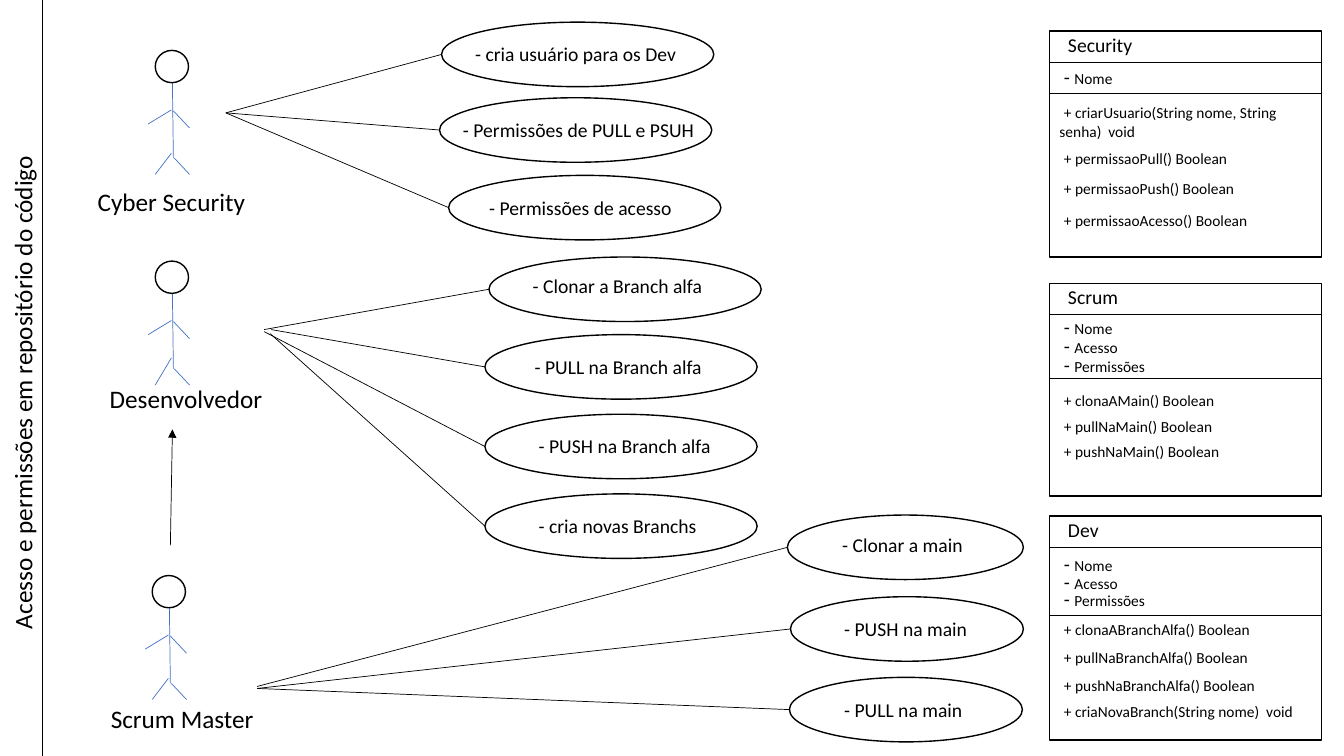
from lxml import etree
from pptx import Presentation
from pptx.dml.color import RGBColor
from pptx.enum.shapes import MSO_CONNECTOR, MSO_SHAPE
from pptx.enum.text import MSO_ANCHOR, PP_ALIGN
from pptx.oxml.ns import qn
from pptx.util import Inches, Pt

COLORS = {"ink": "000000", "limb": "4472C4"}
FONT = "Calibri"
OVAL_HEIGHT = 0.64
CLASS_LEFT, CLASS_WIDTH = 10.41, 2.7

# name, label (left, top, width), head (left, top), left foot rise,
# use cases: line start, oval (left, top, width), text (left, top), text
ACTORS = [
    ("Cyber Security", (0.87, 1.8, 1.7), (1.54, 0.5), 1.02, [
        ((2.24, 1.12), (4.38, 0.22, 2.7), (4.57, 0.37), "cria usuário para os Dev"),
        ((2.24, 1.12), (4.36, 0.97, 2.7), (4.45, 1.12), "Permissões de PULL e PSUH"),
        ((2.24, 1.12), (4.45, 1.74, 2.7), (4.71, 1.89), "Permissões de acesso"),
    ]),
    ("Desenvolvedor", (0.99, 3.75, 2.03), (1.54, 2.59), 0.96, [
        ((2.62, 3.27), (4.85, 2.55, 2.7), (5.14, 2.67), "Clonar a Branch alfa"),
        ((2.69, 3.27), (4.81, 3.32, 2.7), (5.16, 3.47), "PULL na Branch alfa"),
        ((2.62, 3.29), (4.81, 4.11, 2.7), (5.2, 4.26), "PUSH na Branch alfa"),
        ((2.68, 3.31), (4.81, 4.9, 2.7), (5.2, 5.05), "cria novas Branchs"),
    ]),
    ("Scrum Master", (1, 6.93, 1.68), (1.51, 5.71), 1.02, [
        ((2.55, 6.81), (7.81, 5.11, 2.34), (8.21, 5.24), "Clonar a main"),
        ((2.55, 6.83), (7.84, 5.92, 2.31), (8.23, 6.07), "PUSH na main"),
        ((2.55, 6.83), (7.83, 6.72, 2.31), (8.23, 6.87), "PULL na main"),
    ]),
]

# name, top, height, second divider, attributes and methods with their tops
CLASSES = [
    ("Security", 0.31, 2.24, 0.93, [(0.59, "Nome")], [
        (0.93, "criarUsuario(String nome, String senha)  void"),
        (1.39, "permissaoPull() Boolean"),
        (1.69, "permissaoPush() Boolean"),
        (2, "permissaoAcesso() Boolean"),
    ]),
    ("Scrum", 2.81, 2.11, 3.75,
     [(3.08, "Nome"), (3.26, "Acesso"), (3.45, "Permissões")], [
        (3.79, "clonaAMain() Boolean"),
        (4.05, "pullNaMain() Boolean"),
        (4.3, "pushNaMain() Boolean"),
    ]),
    ("Dev", 5.12, 2.22, 6.1,
     [(5.43, "Nome"), (5.6, "Acesso"), (5.77, "Permissões")], [
        (6.06, "clonaABranchAlfa() Boolean"),
        (6.34, "pullNaBranchAlfa() Boolean"),
        (6.62, "pushNaBranchAlfa() Boolean"),
        (6.87, "criaNovaBranch(String nome)  void"),
    ]),
]

deck = Presentation()
deck.slide_width, deck.slide_height = Inches(13.33), Inches(7.5)
page = deck.slides.add_slide(deck.slide_layouts[5])


def write(box, spans):
    """Fill a box with one paragraph of (text, size) spans."""
    frame = box.text_frame
    frame.word_wrap = True
    para = frame.paragraphs[0]
    for text, size in spans:
        span = para.add_run()
        span.text = text
        for name, value in {"name": FONT, "size": Pt(size)}.items():
            setattr(span.font, name, value)
        span.font.color.rgb = RGBColor.from_string(COLORS["ink"])


def draw_line(start, end, color="ink"):
    """Draw a thin straight line and return it."""
    line = page.shapes.add_connector(
        MSO_CONNECTOR.STRAIGHT, *[Inches(value) for value in (*start, *end)])
    line.line.color.rgb = RGBColor.from_string(COLORS[color])
    line.line.width = Pt(0.5)
    etree.SubElement(line.line._get_or_add_ln().getparent(), qn("a:effectLst"))
    return line


# Side title
title = page.shapes.title
title_format = {"left": Inches(-2.4), "top": Inches(3.52), "width": Inches(5.24),
                "height": Inches(0.4), "rotation": 270}
for name, value in title_format.items():
    setattr(title, name, value)
write(title, [("Acesso e permissões em repositório do código", 18)])
title.text_frame.vertical_anchor = MSO_ANCHOR.TOP
title.text_frame.paragraphs[0].alignment = PP_ALIGN.LEFT
draw_line((0.42, 0), (0.42, 7.5))

outlines = []  # preset, left, top, width, height
labels = []    # left, top, width, height, spans

# Actors with their use cases
for actor, (left, top, width), (head_x, head_y), foot, cases in ACTORS:
    labels.append((left, top, width, 0.4, [(actor, 18)]))
    outlines.append((MSO_SHAPE.OVAL, head_x, head_y, 0.33, 0.32))
    limbs = [((0.17, 0.32), (0.18, 1.07)), ((0.19, 1.07), (0.34, 1.23)),
             ((0.16, foot), (0, 1.23)), ((0.18, 0.6), (0.34, 0.77)),
             ((-0.07, 0.73), (0.16, 0.59))]
    for limb in limbs:
        start, end = [(head_x + x, head_y + y) for x, y in limb]
        draw_line(start, end, "limb")
    for start, (left, top, width), (text_x, text_y), text in cases:
        outlines.append((MSO_SHAPE.OVAL, left, top, width, OVAL_HEIGHT))
        draw_line(start, (left, top + OVAL_HEIGHT / 2))
        label_width = 2.6 if len(text) > 24 else 2.35
        labels.append((text_x, text_y, label_width, 0.34, [(f" - {text}", 14)]))

# Scrum Master inherits from Desenvolvedor
arrow = draw_line((1.69, 5.41), (1.71, 4.26))
etree.SubElement(arrow.line._get_or_add_ln(), qn("a:tailEnd"), type="triangle")

# Class boxes
for class_name, top, height, divider, attributes, methods in CLASSES:
    outlines.append((MSO_SHAPE.RECTANGLE, CLASS_LEFT, top, CLASS_WIDTH, height))
    for y in (top + 0.31, divider):
        draw_line((CLASS_LEFT, y), (CLASS_LEFT + CLASS_WIDTH, y))
    labels.append((CLASS_LEFT + 0.04, top - 0.03, 2.35, 0.34, [(f" {class_name}", 14)]))
    for y, text in attributes:
        labels.append((CLASS_LEFT, y, 2.35, 0.34, [(" - ", 14), (text, 11)]))
    for y, text in methods:
        box_height = 0.52 if len(text) > 40 else 0.34
        labels.append((CLASS_LEFT, y, 2.56, box_height, [(" ", 14), (f"+ {text}", 11)]))

for preset, *place in outlines:
    outline = page.shapes.add_shape(preset, *[Inches(value) for value in place])
    outline.shadow.inherit = False
    outline.fill.background()
    outline.line.color.rgb = RGBColor.from_string(COLORS["ink"])
    outline.line.width = Pt(1)

for *place, spans in labels:
    write(page.shapes.add_textbox(*[Inches(value) for value in place]), spans)

deck.save("out.pptx")
